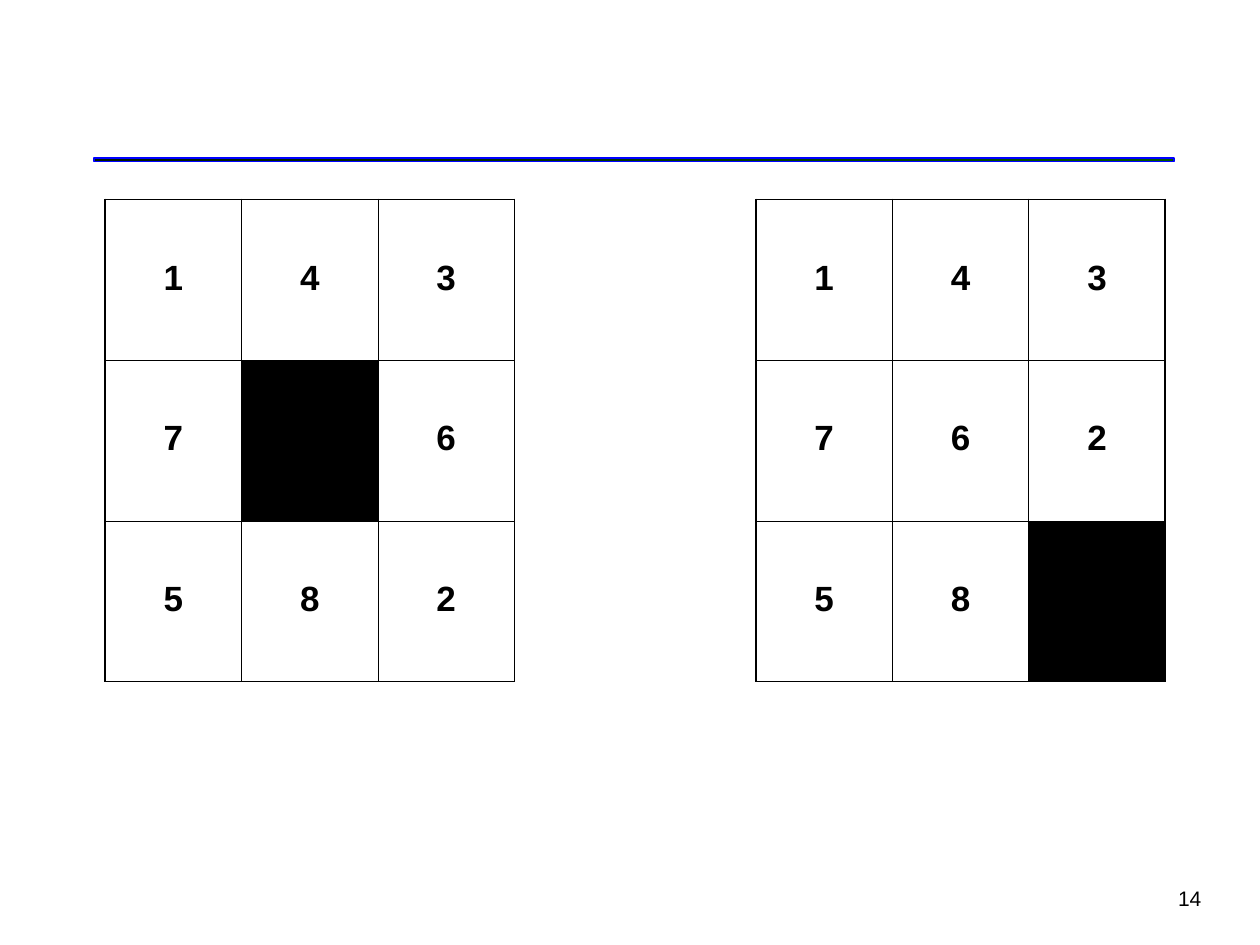
import pptx
import pptx.dml.color
import pptx.enum.shapes
import pptx.enum.text
import pptx.oxml
import pptx.oxml.ns
import pptx.util
from pptx.util import Cm, Pt

BLACK = pptx.dml.color.RGBColor(0x00, 0x00, 0x00)
BLUE = pptx.dml.color.RGBColor(0x00, 0x00, 0xFF)
DARK_GREEN = pptx.dml.color.RGBColor(0x00, 0x19, 0x00)
GREEN = pptx.dml.color.RGBColor(0x00, 0x54, 0x00)

FONT = "Arial"
OUTER_LINE, INNER_LINE = Pt(1.08), Pt(0.45)
TILE_WIDTH, TILE_HEIGHT = Cm(2.75), Cm(3.24)
BOARD_TOP = Cm(4.02)

# Each board is listed by its left edge and its rows; None is the empty square
BOARDS = [
    (Cm(2.12), [["1", "4", "3"], ["7", None, "6"], ["5", "8", "2"]]),
    (Cm(15.24), [["1", "4", "3"], ["7", "6", "2"], ["5", "8", None]]),
]


def style_paragraph(para, size, spacing, before, after, bold=False):
    para.line_spacing = spacing
    para.space_before, para.space_after = Pt(before), Pt(after)
    para.font.name, para.font.size, para.font.bold = FONT, Pt(size), bold
    para.font.color.rgb = BLACK


def add_rule(page):
    """Draw the thin gradient bar under the title area."""
    bar = page.shapes.add_shape(
        pptx.enum.shapes.MSO_SHAPE.RECTANGLE, Cm(1.9), Cm(3.18), Cm(21.77), Cm(0.08))
    bar.shadow.inherit = False
    bar.fill.gradient()
    bar.fill.gradient_angle = 0
    for stop, color, position in zip(bar.fill.gradient_stops, (DARK_GREEN, GREEN), (0, 1)):
        stop.color.rgb = color
        stop.position = position
    bar.line.color.rgb = BLUE
    bar.line.width = Pt(1)


def add_page_number(page, number):
    box = page.shapes.add_textbox(Cm(23.5), Cm(17.78), Cm(1.27), Cm(0.71))
    frame = box.text_frame
    frame.word_wrap = True
    frame.auto_size = pptx.enum.text.MSO_AUTO_SIZE.SHAPE_TO_FIT_TEXT
    frame.text = number
    style_paragraph(frame.paragraphs[0], 12, 0.9, 7.5, 1.5)


def set_border(cell, side, width):
    properties = cell._tc.get_or_add_tcPr()
    properties.append(pptx.oxml.parse_xml(
        f'<a:ln{side} {pptx.oxml.ns.nsdecls("a")} w="{width}">'
        f'<a:solidFill><a:srgbClr val="{BLACK}"/></a:solidFill></a:ln{side}>'))


def add_board(page, left, rows):
    """Draw a puzzle board with heavier lines on its outside edges."""
    last_row, last_column = len(rows) - 1, len(rows[0]) - 1
    table = page.shapes.add_table(
        len(rows), len(rows[0]), left, BOARD_TOP,
        TILE_WIDTH * len(rows[0]), TILE_HEIGHT * len(rows)).table
    table.first_row = table.horz_banding = False
    for row_index, row in enumerate(rows):
        for column_index, tile in enumerate(row):
            cell = table.cell(row_index, column_index)
            outside = {"L": column_index == 0, "R": column_index == last_column,
                       "T": row_index == 0, "B": row_index == last_row}
            for side, is_outside in outside.items():
                set_border(cell, side, OUTER_LINE if is_outside else INNER_LINE)
            if tile is None:
                cell.fill.solid()
                cell.fill.fore_color.rgb = BLACK
                continue
            cell.fill.background()
            cell.vertical_anchor = pptx.enum.text.MSO_ANCHOR.MIDDLE
            cell.text = tile
            para = cell.text_frame.paragraphs[0]
            para.alignment = pptx.enum.text.PP_ALIGN.CENTER
            style_paragraph(para, 20, 0.89, 12.5, 2.5, bold=True)


def main():
    deck = pptx.Presentation()
    deck.slide_width, deck.slide_height = Cm(25.4), Cm(19.05)
    page = deck.slides.add_slide(deck.slide_layouts[6])  # blank layout

    # Page furniture
    add_page_number(page, "14")
    add_rule(page)

    # Puzzle boards
    for left, rows in BOARDS:
        add_board(page, left, rows)

    deck.save("out.pptx")


if __name__ == "__main__":
    main()
